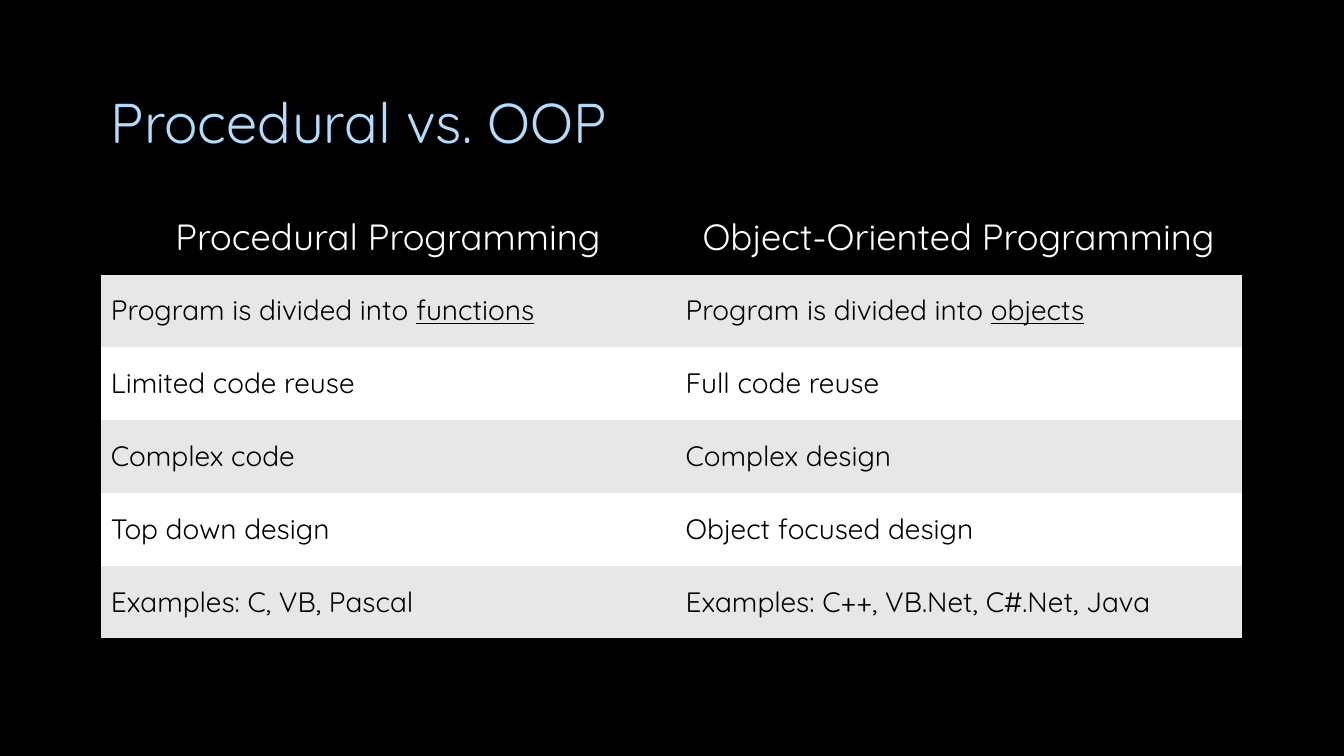
from lxml.etree import SubElement
from pptx import Presentation
from pptx.dml.color import RGBColor
from pptx.enum.text import MSO_ANCHOR, PP_ALIGN
from pptx.oxml import parse_xml
from pptx.oxml.ns import nsdecls, qn
from pptx.util import Inches, Pt

HUES = {"back": "000000", "title": "B4DCFA", "edge": "404040",
        "head": "FFFFFF", "text": "000000", "odd": "E7E7E7", "even": "FFFFFF"}
FONT = "Quicksand"
PLAIN = "{2D5ABB26-0587-4C30-8999-92F81FD0307C}"
HEADS = ["Procedural Programming", "Object-Oriented Programming"]
ROWS = [
    [("Program is divided into ", "functions"), ("Program is divided into ", "objects")],
    [("Limited code reuse",), ("Full code reuse",)],
    [("Complex code",), ("Complex design",)],
    [("Top down design",), ("Object focused design",)],
    [("Examples: C, VB, Pascal",), ("Examples: C++, VB.Net, C#.Net, Java",)],
]


def hue(name):
    """Return the named colour."""
    return RGBColor.from_string(HUES[name])


def write(para, text, size, color, line=False):
    """Add one styled run to a paragraph."""
    run = para.add_run()
    run.text = text
    style = {"name": FONT, "size": Pt(size), "bold": False, "underline": line}
    for key, value in style.items():
        setattr(run.font, key, value)
    run.font.color.rgb = hue(color)
    return run


def rule(cell, sides):
    """Draw black borders on the given sides of a cell."""
    props = cell._tc.get_or_add_tcPr()
    for spot, side in enumerate(sides):
        props.insert(spot, parse_xml(
            f'<a:ln{side} {nsdecls("a")} w="{Pt(2)}"><a:solidFill>'
            f'<a:srgbClr val="{HUES["back"]}"/></a:solidFill></a:ln{side}>'))


def add_title(slide, box, text):
    """Place the slide title with its faint text outline."""
    frame = slide.shapes.add_textbox(*map(Inches, box)).text_frame
    for key, value in {"word_wrap": True, "vertical_anchor": MSO_ANCHOR.MIDDLE}.items():
        setattr(frame, key, value)
    run = write(frame.paragraphs[0], text, 40, "title")
    props = run.font._element
    edge = parse_xml(f'<a:ln {nsdecls("a")} w="{Pt(0.75)}"/>')
    fill = SubElement(edge, qn("a:solidFill"))
    color = SubElement(fill, qn("a:srgbClr"), val=HUES["edge"])
    SubElement(color, qn("a:alpha"), val="10000")
    props.insert(0, edge)


def add_grid(slide, box, heads, rows):
    """Place the comparison table with a head row and banded rows."""
    left, top, width, height = box
    count = len(rows) + 1
    frame = slide.shapes.add_table(count, len(heads), *map(Inches, box))
    grid = frame.table
    for key in ("first_row", "horz_banding"):
        setattr(grid, key, False)
    grid._tbl.tblPr.find(qn("a:tableStyleId")).text = PLAIN
    first = 5.7
    for col, size in zip(grid.columns, (first, width - first)):
        col.width = Inches(size)
    for row in grid.rows:
        row.height = Inches(height / count)
    table = [[(head,) for head in heads]] + rows
    for y, line in enumerate(table):
        for x, parts in enumerate(line):
            cell = grid.cell(y, x)
            cell.vertical_anchor = MSO_ANCHOR.MIDDLE
            cell.fill.solid()
            band = "odd" if y % 2 else "even"
            cell.fill.fore_color.rgb = hue(band if y else "back")
            para = cell.text_frame.paragraphs[0]
            para.alignment = PP_ALIGN.LEFT if y else PP_ALIGN.CENTER
            size, color = (20, "text") if y else (26, "head")
            for spot, part in enumerate(parts):
                write(para, part, size, color, spot > 0)
            if y == 0:
                rule(cell, "TB")
            elif y == count - 1:
                rule(cell, "B")


def main():
    """Build and save the slide."""
    deck = Presentation()
    for key, value in {"slide_width": 13.33, "slide_height": 7.5}.items():
        setattr(deck, key, Inches(value))
    slide = deck.slides.add_slide(deck.slide_layouts[6])
    back = slide.background.fill
    back.solid()
    back.fore_color.rgb = hue("back")
    add_title(slide, (1, 0.67, 11.32, 1.06), "Procedural vs. OOP")
    add_grid(slide, (1, 1.99, 11.32, 4.35), HEADS, ROWS)
    deck.save("out.pptx")


if __name__ == "__main__":
    main()
